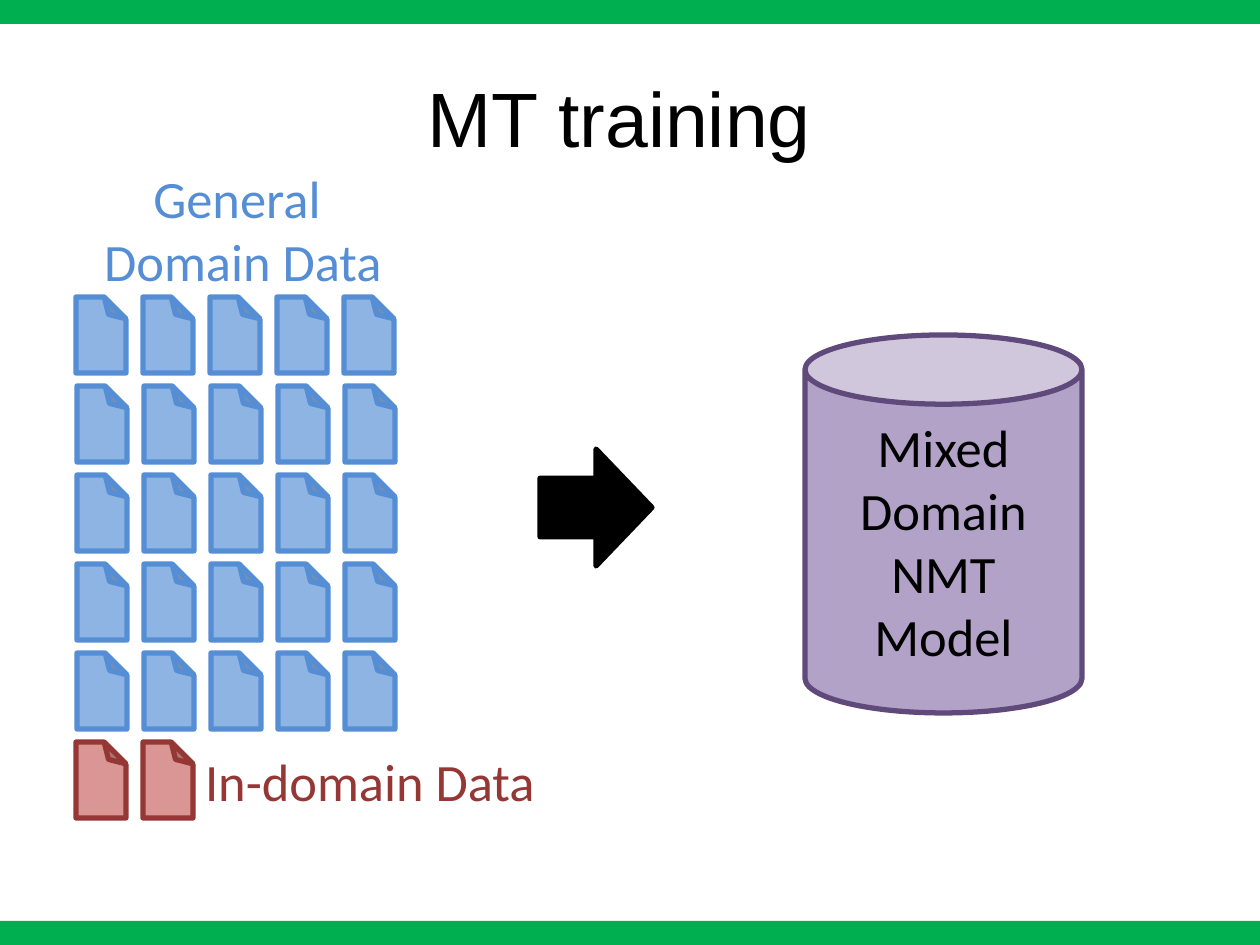
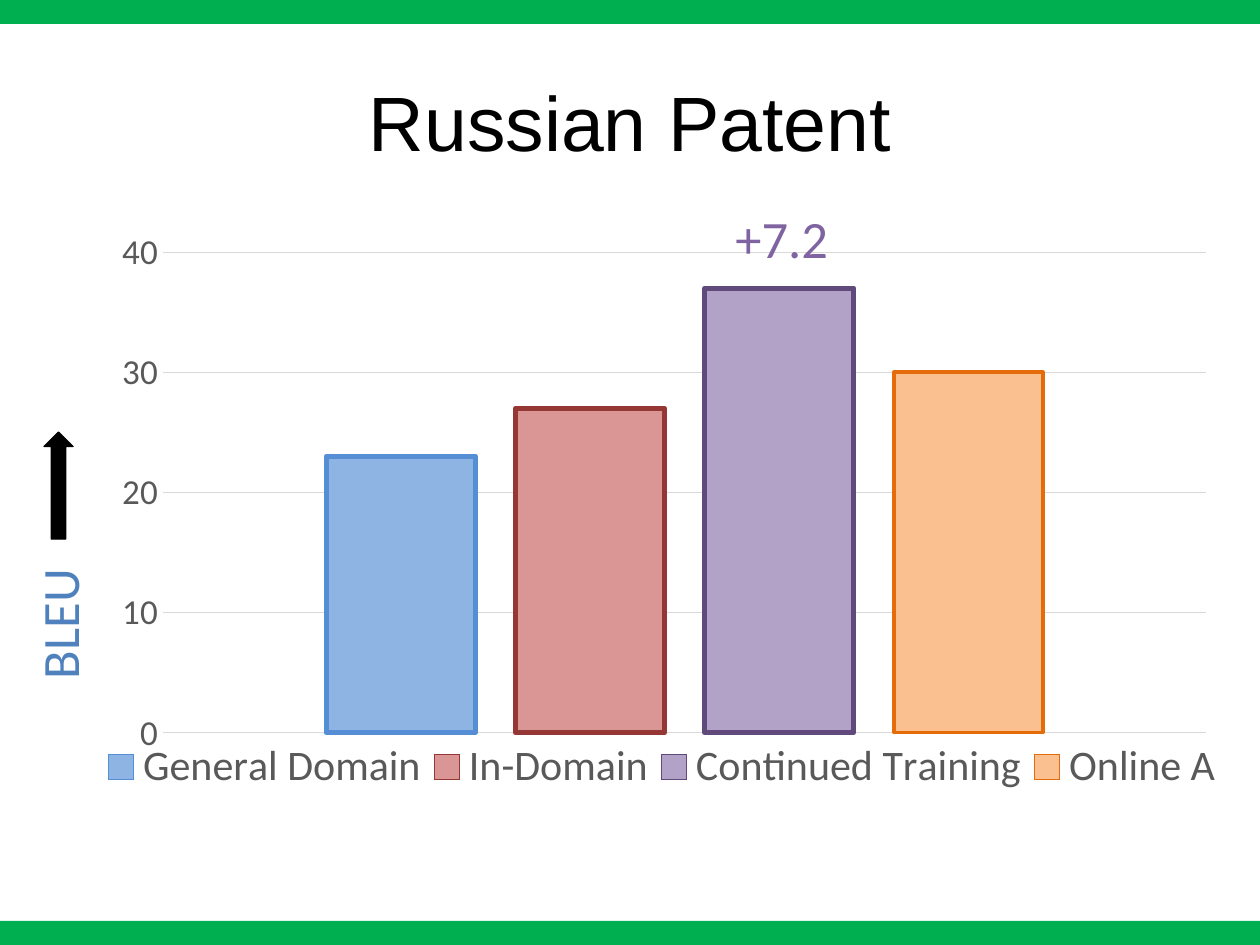
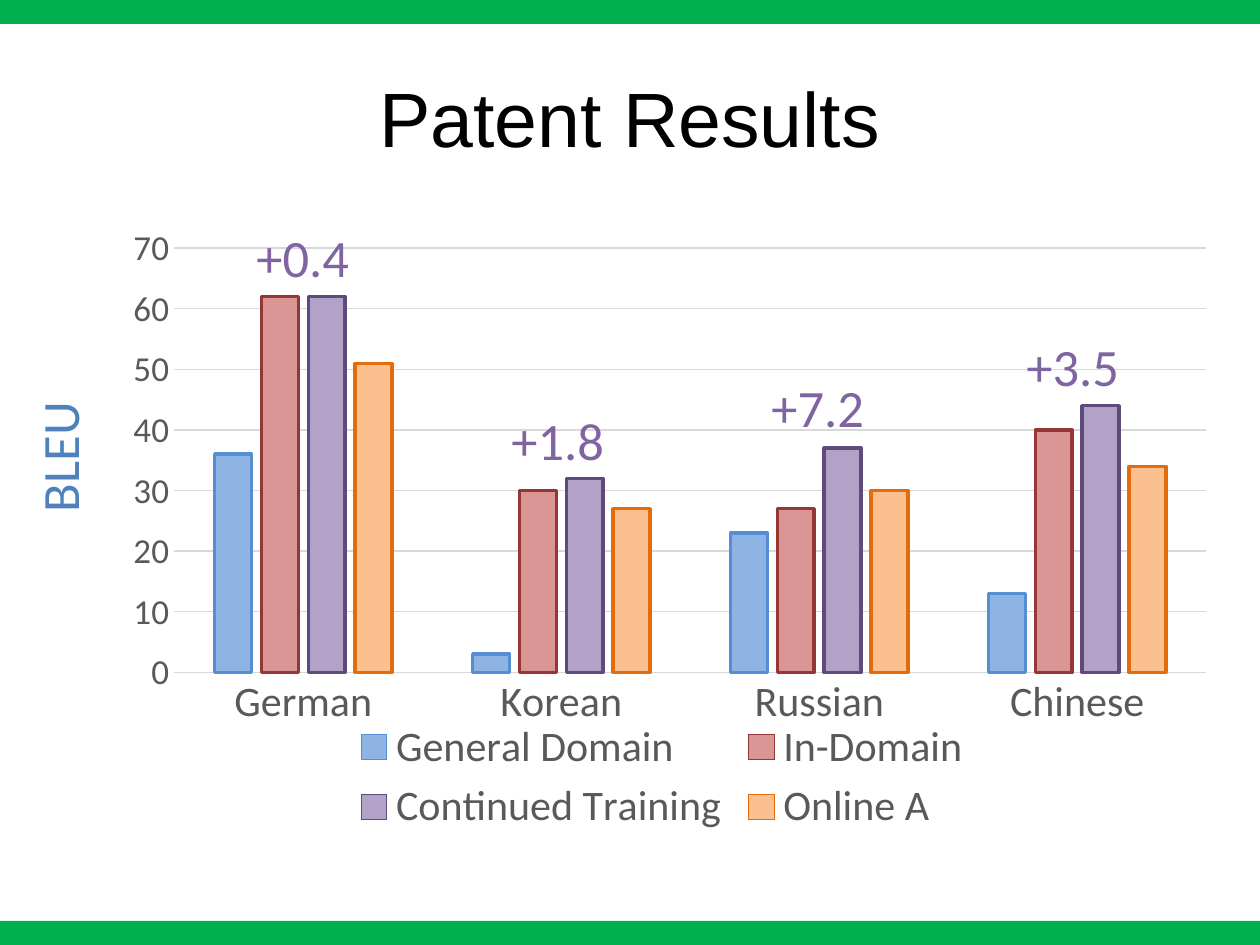
"""Build three slides on domain training and patent results."""
from dataclasses import dataclass

from lxml.etree import SubElement
from pptx import Presentation
from pptx.chart.data import CategoryChartData
from pptx.dml.color import RGBColor
from pptx.enum.chart import XL_CHART_TYPE, XL_LEGEND_POSITION, XL_TICK_MARK
from pptx.enum.shapes import MSO_SHAPE
from pptx.enum.text import MSO_ANCHOR, PP_ALIGN
from pptx.oxml.ns import qn
from pptx.util import Emu, Pt


@dataclass(frozen=True)
class Theme:
    """Hold the colours, fonts and type sizes of the deck."""
    band: str = "00B050"
    black: str = "000000"
    grey: str = "595959"
    grid: str = "D9D9D9"
    gain: str = "8064A2"
    score: str = "4F81BD"
    blue: tuple = ("8EB4E3", "558ED5")
    red: tuple = ("D99694", "953735")
    purple: tuple = ("B3A2C7", "604A7B")
    orange: tuple = ("FAC090", "E46C0A")
    head: str = "Arial"
    body: str = "Calibri"
    title: int = 44
    label: int = 30
    name: int = 24
    tick: int = 20


THEME = Theme()
WIDE, HIGH = 1260, 945
MODELS = [
    ("General Domain", THEME.blue),
    ("In-Domain", THEME.red),
    ("Continued Training", THEME.purple),
    ("Online A", THEME.orange),
]


def px(count):
    """Turn pixels into EMU."""
    return Emu(round(count * 914400 / 126))


def rgb(code):
    """Turn a hex code into a colour."""
    return RGBColor.from_string(code)


def style(font, size, color, face=THEME.body):
    """Set the size, colour and face of a font."""
    font.size, font.name = Pt(size), face
    font.color.rgb = rgb(color)


def paint(form, fill, edge=None, width=0):
    """Fill a shape or bar and draw its edge."""
    form.fill.solid()
    form.fill.fore_color.rgb = rgb(fill)
    if edge:
        form.line.color.rgb = rgb(edge)
        form.line.width = Pt(width)
    else:
        form.line.fill.background()


def write(frame, text, size, color, face=THEME.body, align=PP_ALIGN.CENTER):
    """Put styled lines of text in a frame."""
    frame.text = text
    for line in frame.paragraphs:
        line.alignment = align
        style(line.font, size, color, face)


def add_form(slide, kind, box, fill, edge=None, width=0):
    """Add a flat preset shape."""
    form = slide.shapes.add_shape(kind, *map(px, box))
    form.shadow.inherit = False
    paint(form, fill, edge, width)
    return form


def add_text(slide, box, text, color, align=PP_ALIGN.CENTER, wrap=True):
    """Add a label in body type."""
    area = slide.shapes.add_textbox(*map(px, box))
    area.text_frame.word_wrap = wrap
    write(area.text_frame, text, THEME.label, color, align=align)
    return area


def add_page(deck, title, top=38):
    """Add a slide with its bands and title."""
    slide = deck.slides.add_slide(deck.slide_layouts[6])
    for edge in (0, HIGH - 24):
        add_form(slide, MSO_SHAPE.RECTANGLE, (0, edge, WIDE, 24), THEME.band)
    area = slide.shapes.add_textbox(*map(px, (63, top, 1134, 158)))
    frame = area.text_frame
    frame.word_wrap = True
    frame.vertical_anchor = MSO_ANCHOR.MIDDLE
    write(frame, title, THEME.title, THEME.black, THEME.head)
    return slide


def add_file(slide, left, top, pair):
    """Add a sheet with its top right corner folded."""
    sheet = add_form(slide, MSO_SHAPE.FOLDED_CORNER, (left, top, 50, 76), *pair, 3)
    sheet.rotation = 180
    props = sheet.element.spPr
    props.xfrm.set("flipH", "1")
    fold = props.find(qn("a:prstGeom")).find(qn("a:avLst"))
    SubElement(fold, qn("a:gd"), name="adj", fmla="val 43500")


def add_gain(slide, left, top, text):
    """Add a gain above a bar."""
    add_text(slide, (left, top, 120, 77), text, THEME.gain, PP_ALIGN.LEFT, False)


def add_score(slide, top):
    """Add the upright name of the score."""
    area = add_text(slide, (-11, top, 140, 77), "BLEU", THEME.score, PP_ALIGN.LEFT)
    area.rotation = 270


def set_place(host, index, spots, inner=False):
    """Fix the place of a chart part in shares of the chart."""
    for old in host.findall(qn("c:layout")):
        host.remove(old)
    place = SubElement(host, qn("c:layout"))
    host.insert(index, place)
    manual = SubElement(place, qn("c:manualLayout"))
    marks = [("layoutTarget", "inner")] if inner else []
    marks += [("xMode", "edge"), ("yMode", "edge"), *zip("xywh", spots)]
    for tag, value in marks:
        SubElement(manual, qn(f"c:{tag}")).set("val", str(value))


def add_bars(slide, top, groups, rows, limit, width, plot_spots):
    """Add a column chart of the models and return it."""
    data = CategoryChartData()
    data.categories = groups
    for (name, _), row in zip(MODELS, rows):
        data.add_series(name, row)
    box = map(px, (95, top, 1134, 624))
    chart = slide.shapes.add_chart(XL_CHART_TYPE.COLUMN_CLUSTERED, *box, data).chart
    chart.has_title = False
    style(chart.font, 10, THEME.black)
    chart.has_legend = True
    chart.legend.position = XL_LEGEND_POSITION.BOTTOM
    chart.legend.include_in_layout = False
    style(chart.legend.font, THEME.name, THEME.grey)

    plot = chart.plots[0]
    plot.vary_by_categories = False
    plot.gap_width, plot.overlap = 219, -27
    for bar, (_, pair), size in zip(plot.series, MODELS, width):
        bar.invert_if_negative = False
        paint(bar.format, *pair, size)

    scale, base = chart.value_axis, chart.category_axis
    scale.minimum_scale, scale.maximum_scale, scale.major_unit = 0, limit, 10
    for axis, size in ((scale, THEME.tick), (base, THEME.name)):
        axis.major_tick_mark = axis.minor_tick_mark = XL_TICK_MARK.NONE
        style(axis.tick_labels.font, size, THEME.grey)
    scale.format.line.fill.background()
    for line in (scale.major_gridlines.format.line, base.format.line):
        line.color.rgb = rgb(THEME.grid)
        line.width = Pt(0.75)
    set_place(chart.element.find(qn("c:chart")).find(qn("c:plotArea")),
              0, plot_spots, True)
    return chart


def draw_train(deck):
    """Draw how both kinds of data feed one model."""
    slide = add_page(deck, "MT training ")
    can = add_form(slide, MSO_SHAPE.CAN, (805, 335, 277, 378), *THEME.purple, 3)
    can.text_frame.word_wrap = True
    can.text_frame.vertical_anchor = MSO_ANCHOR.MIDDLE
    write(can.text_frame, "Mixed\nDomain NMT Model", THEME.label, THEME.black)
    for row in range(6):
        left = 77 if 0 < row < 5 else 76
        count, pair = (5, THEME.blue) if row < 5 else (2, THEME.red)
        for col in range(count):
            add_file(slide, left + 67 * col, 297 + 89 * row, pair)
    add_text(slide, (174, 743, 392, 77), "In-domain Data", THEME.red[1])
    add_text(slide, (39, 160, 396, 140), "General\n Domain Data", THEME.blue[1])
    add_form(slide, MSO_SHAPE.RIGHT_ARROW, (540, 449, 112, 117),
             THEME.black, THEME.black, 3)


def draw_patent(deck):
    """Draw the scores for Russian."""
    slide = add_page(deck, "Russian Patent", 42)
    chart = add_bars(slide, 221, ["1"], [[23], [27], [37], [30]], 40,
                     (3, 3, 3, 2), (0.06, 0.05, 0.92, 0.77))
    chart.category_axis.visible = False
    legend = chart.element.find(qn("c:chart")).find(qn("c:legend"))
    set_place(legend, 1, (0, 0.83, 1, 0.09))
    add_gain(slide, 723, 200, "+7.2")
    add_form(slide, MSO_SHAPE.UP_ARROW, (44, 432, 29, 107),
             THEME.black, THEME.black, 0.75)
    add_score(slide, 583)


def draw_all(deck):
    """Draw the scores for each language."""
    slide = add_page(deck, "Patent Results")
    rows = [[36, 3, 23, 13], [62, 30, 27, 40], [62, 32, 37, 44], [51, 27, 30, 34]]
    add_bars(slide, 217, ["German", "Korean", "Russian", "Chinese"], rows, 70,
             (2, 2, 2, 2), (0.07, 0.05, 0.91, 0.68))
    gains = [(244, 219, "+0.4"), (499, 402, "+1.8"),
             (759, 369, "+7.2"), (1014, 328, "+3.5")]
    for gain in gains:
        add_gain(slide, *gain)
    add_score(slide, 416)


def main():
    """Build and save the deck."""
    deck = Presentation()
    deck.slide_width, deck.slide_height = px(WIDE), px(HIGH)
    for draw in (draw_train, draw_patent, draw_all):
        draw(deck)
    deck.save("out.pptx")


if __name__ == "__main__":
    main()
